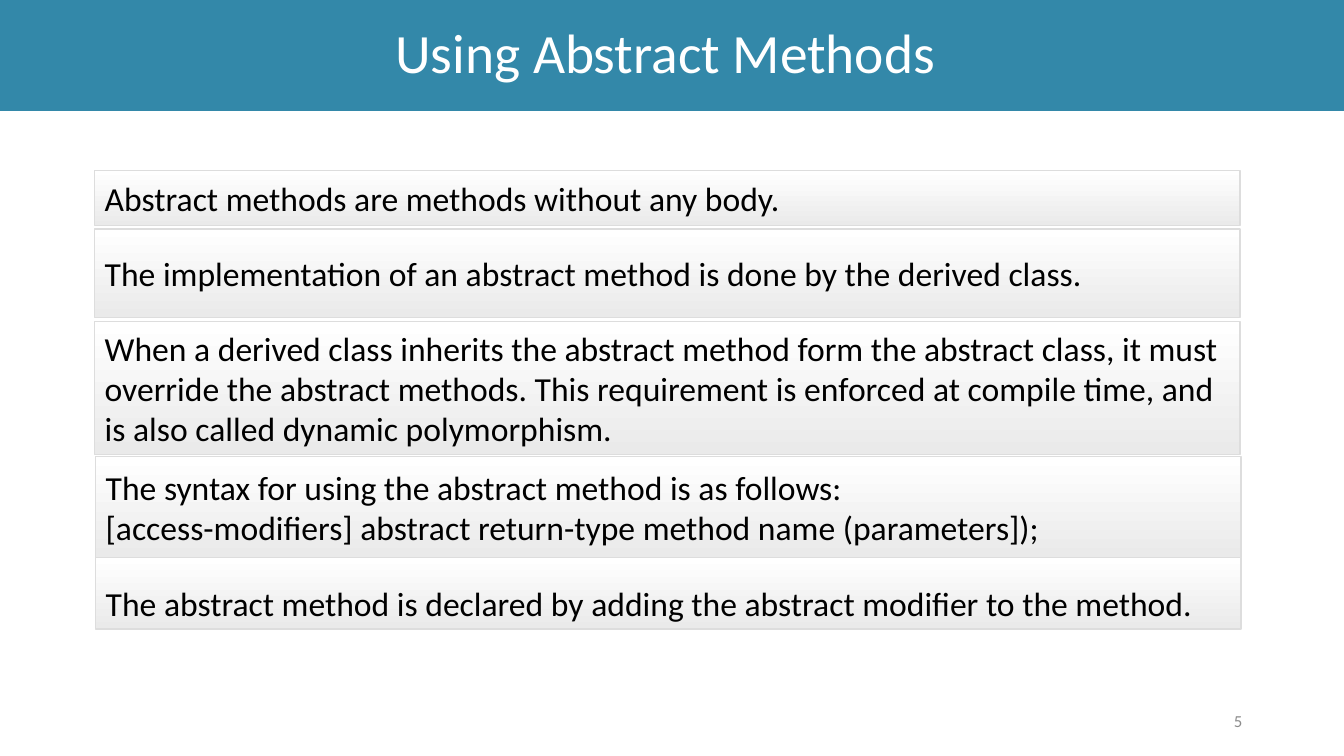
"""Build the slide that explains how abstract methods are used."""
from dataclasses import dataclass

from pptx import Presentation
from pptx.dml.color import RGBColor
from pptx.enum.shapes import MSO_SHAPE
from pptx.enum.text import MSO_ANCHOR, MSO_AUTO_SIZE, PP_ALIGN
from pptx.util import Inches, Pt

CELL = Inches(0.01)
COLUMNS, ROWS = 1333, 750
PANEL_WIDTH, FIRST_TOP = 1136, 169
PANELS = [
    (94, 55, 3, 1, ["Abstract methods are methods without any body."]),
    (94, 88, 4, 1, ["The implementation of an abstract method is done by the derived class."]),
    (94, 132, 2, 1, [
        "When a derived class inherits the abstract method form the abstract class, "
        "it must override the abstract methods. This requirement is enforced at "
        "compile time, and is also called dynamic polymorphism."]),
    (95, 100, 0, 1, [
        "The syntax for using the abstract method is as follows:",
        "[access-modifiers] abstract return-type method name (parameters]);"]),
    (95, 71, 0, 1.5, [
        "The abstract method is declared by adding the abstract modifier to the method."]),
]


@dataclass(frozen=True)
class Theme:
    """Hold the colours, type sizes and font of the slide."""
    font: str = "Calibri"
    banner: RGBColor = RGBColor(0x33, 0x88, 0xA9)
    heading: RGBColor = RGBColor(0xFF, 0xFF, 0xFF)
    body: RGBColor = RGBColor(0, 0, 0)
    muted: RGBColor = RGBColor(0x8C, 0x8C, 0x8C)
    panel_top: RGBColor = RGBColor(0xFF, 0xFF, 0xFF)
    panel_bottom: RGBColor = RGBColor(0xEA, 0xEA, 0xEA)
    border: RGBColor = RGBColor(0xDD, 0xDD, 0xDD)
    heading_size: float = 39.6
    body_size: float = 24
    number_size: float = 12


THEME = Theme()


def apply(target, formats):
    """Set each named attribute on the target."""
    for name, value in formats.items():
        setattr(target, name, value)


def grid(left, top, width, height):
    """Turn grid cells into a position and a size."""
    return [cells * CELL for cells in (left, top, width, height)]


def write(frame, lines, size, colour, align=PP_ALIGN.LEFT, spacing=1.0):
    """Fill a text frame with one formatted paragraph per line."""
    apply(frame, {"word_wrap": True, "auto_size": MSO_AUTO_SIZE.NONE,
                  "vertical_anchor": MSO_ANCHOR.MIDDLE})
    frame.text = "\n".join(lines)
    for paragraph in frame.paragraphs:
        apply(paragraph, {"alignment": align, "line_spacing": spacing})
        for run in paragraph.runs:
            apply(run.font, {"name": THEME.font, "size": Pt(size)})
            run.font.color.rgb = colour


def add_banner(slide, heading):
    """Turn the title placeholder into a full-width banner."""
    banner = slide.shapes.title
    left, top, width, height = grid(0, 0, COLUMNS, 110)
    apply(banner, {"left": left, "top": top, "width": width, "height": height})
    banner.fill.solid()
    banner.fill.fore_color.rgb = THEME.banner
    write(banner.text_frame, [heading], THEME.heading_size, THEME.heading,
          PP_ALIGN.CENTER, 0.9)
    banner.text_frame.margin_right = 23 * CELL


def add_panel(slide, box, lines, spacing):
    """Add a bordered panel with a vertical gradient and text."""
    panel = slide.shapes.add_shape(MSO_SHAPE.RECTANGLE, *grid(*box))
    panel.shadow.inherit = False
    panel.fill.gradient()
    panel.fill.gradient_angle = 270
    for stop, position, colour in zip(panel.fill.gradient_stops, (0, 1),
                                      (THEME.panel_top, THEME.panel_bottom)):
        stop.position = position
        stop.color.rgb = colour
    panel.line.color.rgb = THEME.border
    panel.line.width = Pt(1)
    write(panel.text_frame, lines, THEME.body_size, THEME.body, spacing=spacing)


def add_page_number(slide, number):
    """Add the page number at the lower right."""
    page = slide.shapes.add_textbox(*grid(942, 695, 300, 40))
    write(page.text_frame, [number], THEME.number_size, THEME.muted, PP_ALIGN.RIGHT)


def main():
    """Build and save the slide."""
    deck = Presentation()
    apply(deck, {"slide_width": COLUMNS * CELL, "slide_height": ROWS * CELL})
    slide = deck.slides.add_slide(deck.slide_layouts.get_by_name("Title Only"))
    add_banner(slide, "Using Abstract Methods")
    add_page_number(slide, "5")
    top = FIRST_TOP
    for left, height, gap, spacing, lines in PANELS:
        add_panel(slide, (left, top, PANEL_WIDTH, height), lines, spacing)
        top += height + gap
    deck.save("out.pptx")


if __name__ == "__main__":
    main()
